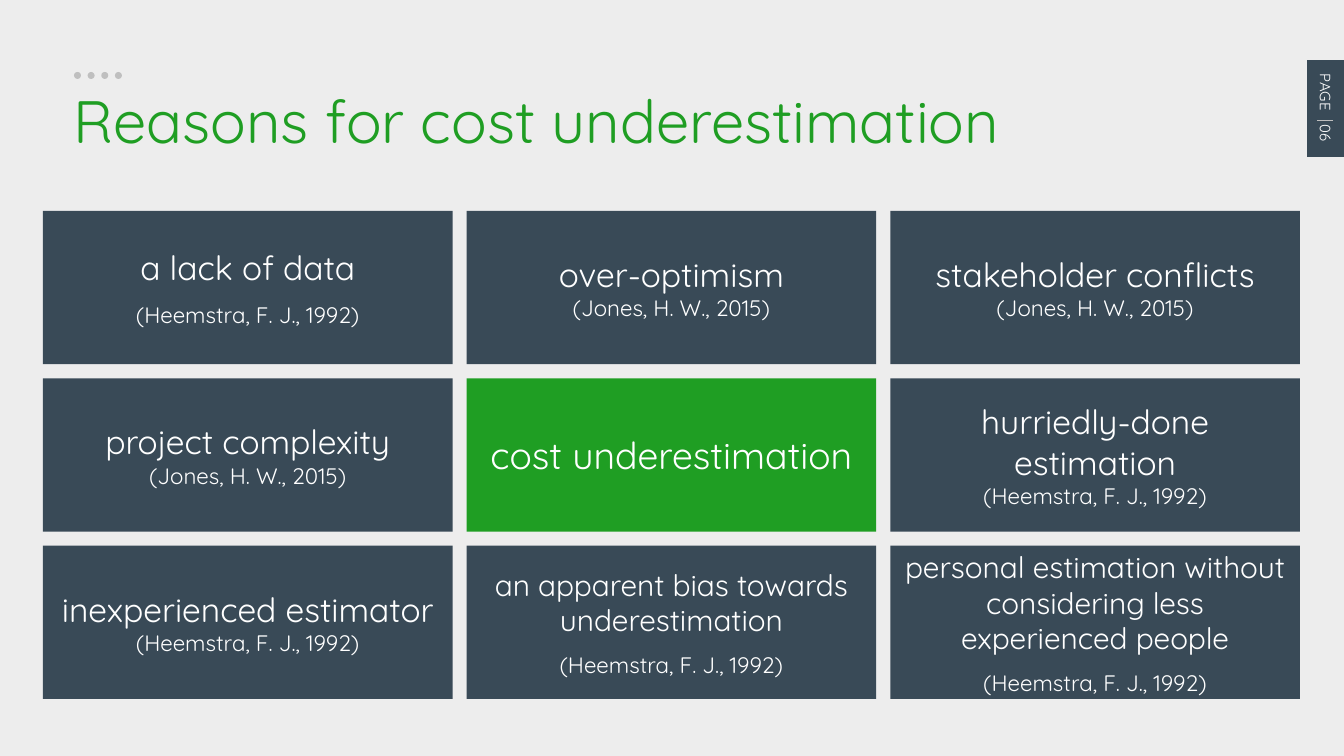
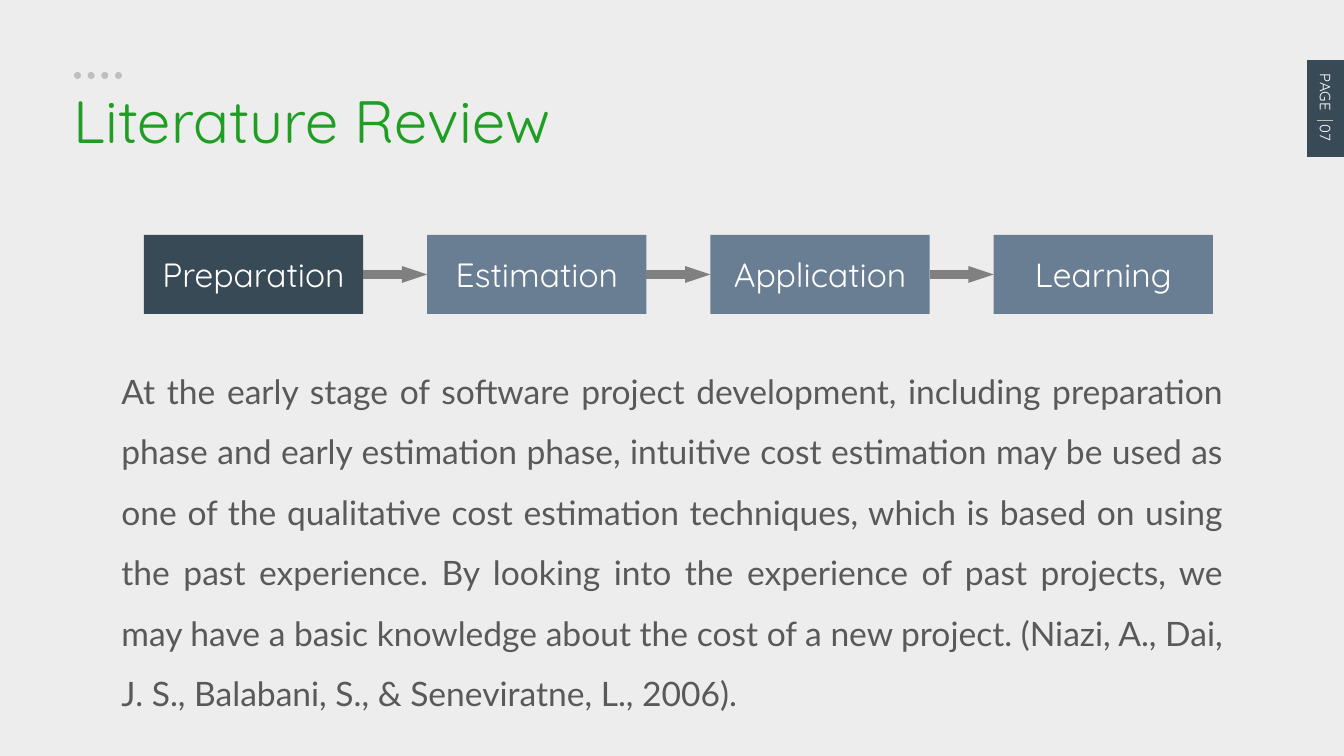
"""Builds two slides on software cost estimation."""
import collections
import dataclasses
import itertools

import lxml.etree
import pptx
import pptx.dml.color
import pptx.enum.shapes
import pptx.enum.text
import pptx.oxml.ns
import pptx.util

EMU_PER_PX = 914400 / 134.4
SHAPE = pptx.enum.shapes.MSO_SHAPE
ALIGN = pptx.enum.text.PP_ALIGN
ANCHOR = pptx.enum.text.MSO_ANCHOR
TOP, LEFT, BOTTOM, RIGHT = range(4)

Box = collections.namedtuple("Box", "left top width height")
Reason = collections.namedtuple("Reason", "text size cite spacing")


@dataclasses.dataclass(frozen=True)
class Theme:
    """Colours, fonts and type sizes of the deck."""
    ground: str = "EDEDED"
    green: str = "1F9E23"
    slate: str = "394A57"
    steel: str = "697E92"
    silver: str = "BFBFBF"
    arrow: str = "808080"
    ink: str = "595959"
    white: str = "FFFFFF"
    display: str = "Quicksand"
    prose: str = "Lato"
    title: int = 32
    focus: int = 20
    label: int = 18
    compact: int = 16
    cite: int = 12
    tab: int = 8


THEME = Theme()
HEEMSTRA = "(Heemstra, F. J., 1992)"
JONES = "(Jones, H. W., 2015)"
REASONS = [
    Reason("a lack of data", THEME.label, HEEMSTRA, 1.5),
    Reason("over-optimism", THEME.label, JONES, 1.0),
    Reason("stakeholder conflicts", THEME.label, JONES, 1.0),
    Reason("project complexity", THEME.label, JONES, 1.0),
    Reason("cost underestimation", THEME.focus, None, 1.0),
    Reason("hurriedly-done estimation", THEME.label, HEEMSTRA, 1.0),
    Reason("inexperienced estimator", THEME.label, HEEMSTRA, 1.0),
    Reason("an apparent bias towards underestimation",
           THEME.compact, HEEMSTRA, 1.5),
    Reason("personal estimation without considering less experienced people",
           THEME.compact, HEEMSTRA, 1.5),
]
PHASES = ["Preparation", "Estimation", "Application", "Learning"]
REVIEW = (
    "At the early stage of software project development, including "
    "preparation phase and early estimation phase, intuitive cost estimation "
    "may be used as one of the qualitative cost estimation techniques, which "
    "is based on using the past experience. By looking into the experience of "
    "past projects, we may have a basic knowledge about the cost of a new "
    "project. (Niazi, A., Dai, J. S., Balabani, S., & Seneviratne, L., 2006)."
)


def px(length):
    """Turn pixels into EMU."""
    return pptx.util.Emu(round(length * EMU_PER_PX))


def rgb(colour):
    """Turn a hex string into a colour."""
    return pptx.dml.color.RGBColor.from_string(colour)


def apply(target, values):
    """Set attributes of the target from a dict."""
    for name, value in values.items():
        setattr(target, name, value)


def place(shape, box):
    """Move and size a shape to a box."""
    apply(shape, {name: px(value) for name, value in box._asdict().items()})


def prepare_frame(shape, anchor):
    """Make the text frame of a shape wrap at a fixed size."""
    apply(shape.text_frame, {
        "word_wrap": True,
        "auto_size": pptx.enum.text.MSO_AUTO_SIZE.NONE,
        "vertical_anchor": anchor,
    })
    return shape.text_frame


def write(para, text, size, colour=THEME.white, font=THEME.display,
          align=ALIGN.CENTER, spacing=1.0):
    """Add one formatted span to a paragraph."""
    apply(para, {"alignment": align, "line_spacing": spacing,
                 "space_before": pptx.util.Pt(0)})
    span = para.add_run()
    span.text = text
    apply(span.font, {"name": font, "size": pptx.util.Pt(size)})
    span.font.color.rgb = rgb(colour)
    return span


def add_block(shapes, box, fill, kind=SHAPE.RECTANGLE):
    """Add a flat filled shape without outline."""
    block = shapes.add_shape(kind, *map(px, box))
    block.shadow.inherit = False
    block.fill.solid()
    block.fill.fore_color.rgb = rgb(fill)
    block.line.fill.background()
    return block


def add_line(shapes, start, end, colour, width):
    """Add a straight connector without shadow."""
    line = shapes.add_connector(
        pptx.enum.shapes.MSO_CONNECTOR.STRAIGHT, *map(px, start + end))
    line.line.color.rgb = rgb(colour)
    line.line.width = pptx.util.Pt(width)
    lxml.etree.SubElement(line.element.spPr, pptx.oxml.ns.qn("a:effectLst"))
    return line


def add_arrow(shapes, source, target):
    """Join two blocks from right side to left side with an arrow."""
    arrow = add_line(shapes, (0, 0), (0, 0), THEME.arrow, 4.5)
    arrow.begin_connect(source, RIGHT)
    arrow.end_connect(target, LEFT)
    outline = arrow.element.spPr.find(pptx.oxml.ns.qn("a:ln"))
    lxml.etree.SubElement(
        outline, pptx.oxml.ns.qn("a:tailEnd"), type="triangle", w="sm")


def add_dots(page, box, count=4):
    """Spread a row of dots over the box."""
    group = page.shapes.add_group_shape()
    step = (box.width - box.height) / (count - 1)
    for index in range(count):
        dot = Box(box.left + index * step, box.top, box.height, box.height)
        add_block(group.shapes, dot, THEME.silver, SHAPE.OVAL)


def add_title(page, box, text):
    """Fill the title placeholder."""
    title = page.shapes.title
    place(title, box)
    frame = prepare_frame(title, ANCHOR.TOP)
    write(frame.paragraphs[0], text, THEME.title, THEME.green,
          align=ALIGN.LEFT)


def add_page_tab(page, box, number):
    """Add the page number tab with its turned text."""
    group = page.shapes.add_group_shape()
    add_block(group.shapes, box, THEME.slate)
    centre_x = box.left + box.width // 2
    centre_y = box.top + box.height // 2 + 1
    label = Box(centre_x - box.height // 2, centre_y - 16, box.height, 32)
    caption = group.shapes.add_textbox(*map(px, label))
    caption.rotation = 90
    para = prepare_frame(caption, ANCHOR.TOP).paragraphs[0]
    for text, tracking in (("PAGE", 0), (" ", 550), (number, 0)):
        span = write(para, text, THEME.tab, align=ALIGN.LEFT)
        span._r.get_or_add_rPr().set("spc", str(tracking))
    rule_y = box.top + 60
    add_line(group.shapes, (box.left + 10, rule_y), (box.left + 26, rule_y),
             THEME.silver, 0.25)


def add_reason_grid(page, box, reasons, columns=3, gap=14):
    """Lay the reasons out as a grid of cards."""
    rows = len(reasons) // columns
    width = (box.width - gap * (columns - 1)) / columns
    height = (box.height - gap * (rows - 1)) / rows
    for index, reason in enumerate(reasons):
        row, column = divmod(index, columns)
        cell = Box(box.left + column * (width + gap),
                   box.top + row * (height + gap), width, height)
        fill = THEME.slate if reason.cite else THEME.green
        frame = prepare_frame(add_block(page.shapes, cell, fill),
                              ANCHOR.MIDDLE)
        write(frame.paragraphs[0], reason.text, reason.size)
        if reason.cite:
            write(frame.add_paragraph(), reason.cite, THEME.cite,
                  spacing=reason.spacing)


def add_phase_chain(page, box, phases, gap=64):
    """Lay the phases out in a row joined by arrows."""
    width = (box.width - gap * (len(phases) - 1)) / len(phases)
    blocks = []
    for index, phase in enumerate(phases):
        cell = Box(box.left + index * (width + gap), box.top,
                   width, box.height)
        fill = THEME.steel if index else THEME.slate
        block = add_block(page.shapes, cell, fill)
        frame = prepare_frame(block, ANCHOR.MIDDLE)
        write(frame.paragraphs[0], phase, THEME.label)
        blocks.append(block)
    for source, target in itertools.pairwise(blocks):
        add_arrow(page.shapes, source, target)


def add_review(page, box, text):
    """Fill the body placeholder with one justified paragraph."""
    body = page.placeholders[1]
    place(body, box)
    para = prepare_frame(body, ANCHOR.TOP).paragraphs[0]
    write(para, text, THEME.label, THEME.ink, THEME.prose,
          ALIGN.JUSTIFY, 1.5)
    properties = para._p.get_or_add_pPr()
    for name in ("marL", "indent"):
        properties.set(name, "0")
    lxml.etree.SubElement(properties, pptx.oxml.ns.qn("a:buNone"))


def add_page(deck, layout, title, title_width, number):
    """Add a page with the parts that all pages share."""
    page = deck.slides.add_slide(deck.slide_layouts.get_by_name(layout))
    add_dots(page, Box(74, 72, 48, 7))
    add_title(page, Box(60, 77, title_width, 86), title)
    add_page_tab(page, Box(1307, 60, 37, 97), number)
    return page


def main():
    """Build and save the deck."""
    deck = pptx.Presentation()
    apply(deck, {"slide_width": px(1344), "slide_height": px(756)})
    ground = deck.slide_master.background.fill
    ground.solid()
    ground.fore_color.rgb = rgb(THEME.ground)

    page = add_page(deck, "Title Only", "Reasons for cost underestimation",
                    989, "06")
    add_reason_grid(page, Box(43, 211, 1257, 488), REASONS)

    page = add_page(deck, "Title and Content", "Literature Review", 528, "07")
    add_phase_chain(page, Box(144, 235, 1069, 79), PHASES)
    add_review(page, Box(108, 344, 1129, 374), REVIEW)

    deck.save("out.pptx")


if __name__ == "__main__":
    main()
